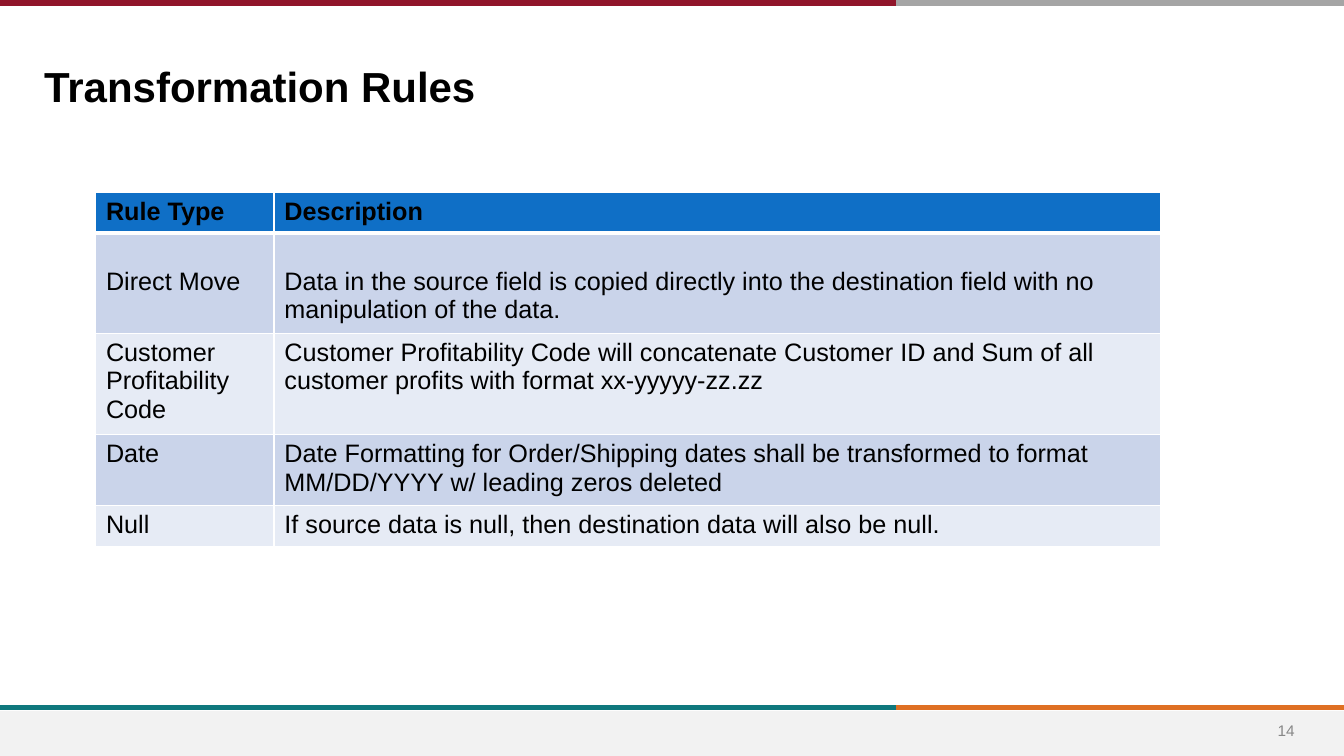
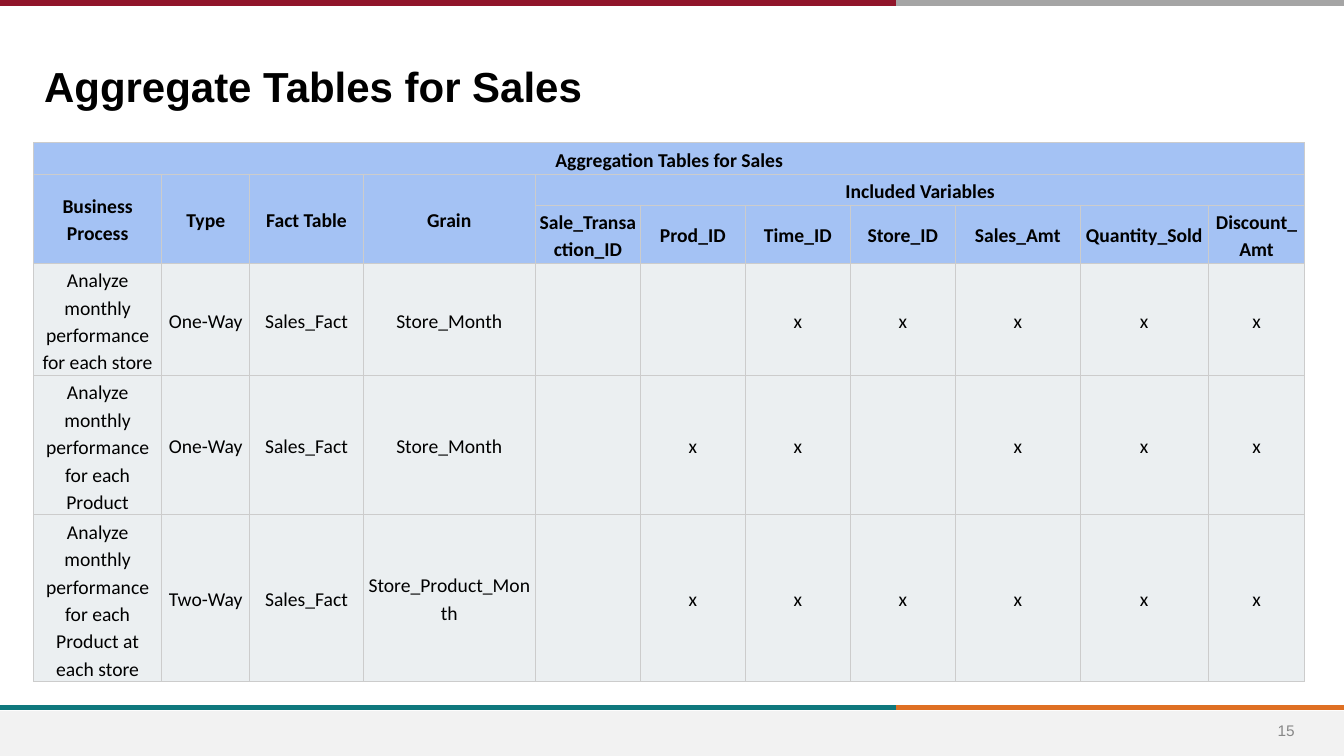
from dataclasses import dataclass
from typing import NamedTuple

from lxml import etree
from pptx import Presentation
from pptx.dml.color import RGBColor
from pptx.enum.shapes import MSO_CONNECTOR, MSO_SHAPE
from pptx.enum.text import MSO_ANCHOR, PP_ALIGN
from pptx.oxml.ns import qn
from pptx.slide import Slide
from pptx.table import Table, _Cell
from pptx.text.text import TextFrame
from pptx.util import Emu, Pt

STRAIGHT = MSO_CONNECTOR.STRAIGHT
RECTANGLE = MSO_SHAPE.RECTANGLE
TOP, MIDDLE = MSO_ANCHOR.TOP, MSO_ANCHOR.MIDDLE
LEFT, CENTER = PP_ALIGN.LEFT, PP_ALIGN.CENTER

EMU_PER_PX = 9525
SLIDE_WIDTH, SLIDE_HEIGHT = 1280, 720
SPLIT = 853
FIRST_PAGE = 14


@dataclass(frozen=True)
class Theme:
    black: str = "000000"
    page_grey: str = "888888"
    band: str = "F2F2F2"
    crimson: str = "90152A"
    silver: str = "A5A5A5"
    teal: str = "0F787D"
    orange: str = "DF7023"
    font: str = "Arial"
    title_size: int = 30
    page_size: int = 11
    rule_width: int = 4


class Box(NamedTuple):
    left: int
    top: int
    width: int
    height: int


class Rule(NamedTuple):
    start: int
    end: int
    y: int
    color: str


class Margins(NamedTuple):
    horizontal: int
    top: int
    bottom: int


class TextStyle(NamedTuple):
    size: int
    color: str
    font: str = "Arial"
    bold: bool = False
    align: PP_ALIGN = LEFT
    anchor: MSO_ANCHOR = TOP
    spacing: float = 1.0


class Span(NamedTuple):
    row: int
    column: int
    last_row: int
    last_column: int


@dataclass(frozen=True)
class TableStyle:
    head: TextStyle
    body: TextStyle
    margins: Margins
    head_fill: str
    body_fills: tuple[str, ...]
    border_color: str
    border_width: float
    head_rows: int = 1
    head_bottom_width: float = 0


@dataclass(frozen=True)
class TableSpec:
    left: int
    top: int
    columns: tuple[int, ...]
    heights: tuple[int, ...]
    rows: tuple[tuple[str, ...], ...]
    style: TableStyle
    spans: tuple[Span, ...] = ()
    lowered_row: int = -1


THEME = Theme()
BAND = Box(0, 677, SLIDE_WIDTH, 43)
TITLE_BOX = Box(32, 44, 1022, 57)
PAGE_BOX = Box(1192, 677, 66, 38)
TITLE_MARGINS = Margins(10, 14, 10)
PAGE_MARGINS = Margins(10, 5, 5)
LOWERED_TOP = 33
TITLE_TEXT = TextStyle(THEME.title_size, THEME.black, bold=True)
PAGE_TEXT = TextStyle(THEME.page_size, THEME.page_grey, align=CENTER, anchor=MIDDLE)
RULES = (
    Rule(SPLIT, SLIDE_WIDTH, 674, THEME.orange),
    Rule(0, SPLIT, 674, THEME.teal),
    Rule(SPLIT, SLIDE_WIDTH, 3, THEME.silver),
    Rule(0, SPLIT, 3, THEME.crimson),
)

RULES_STYLE = TableStyle(
    head=TextStyle(18, THEME.black, bold=True),
    body=TextStyle(18, THEME.black),
    margins=Margins(10, 5, 5),
    head_fill="0F6FC6",
    body_fills=("CAD4EA", "E6EBF5"),
    border_color="FFFFFF",
    border_width=1,
    head_bottom_width=3,
)
SALES_STYLE = TableStyle(
    head=TextStyle(14, THEME.black, "Calibri", True, CENTER, MIDDLE, 1.15),
    body=TextStyle(14, THEME.black, "Calibri", False, CENTER, MIDDLE, 1.15),
    margins=Margins(3, 2, 2),
    head_fill="A4C2F4",
    body_fills=("EBEFF1",),
    border_color="CCCCCC",
    border_width=0.75,
    head_rows=3,
)

TRANSFORMATION_RULES = TableSpec(
    left=91,
    top=183,
    columns=(170, 844),
    heights=(39,) * 5,
    rows=(
        ("Rule Type", "Description"),
        ("Direct Move", "Data in the source field is copied directly into the "
         "destination field with no manipulation of the data."),
        ("Customer Profitability Code", "Customer Profitability Code will concatenate "
         "Customer ID and Sum of all customer profits with format xx-yyyyy-zz.zz"),
        ("Date", "Date Formatting for Order/Shipping dates shall be transformed to "
         "format MM/DD/YYYY w/ leading zeros deleted"),
        ("Null", "If source data is null, then destination data will also be null."),
    ),
    style=RULES_STYLE,
    lowered_row=1,
)
SALES_AGGREGATES = TableSpec(
    left=32,
    top=136,
    columns=(122, 84, 108, 164, 100, 100, 100, 100, 119, 122, 92),
    heights=(28, 28, 51, 97, 120, 143),
    rows=(
        ("Aggregation Tables for Sales",),
        ("Business Process", "Type", "Fact Table", "Grain", "Included Variables"),
        ("", "", "", "", "Sale_Transaction_ID", "Prod_ID", "Time_ID", "Store_ID",
         "Sales_Amt", "Quantity_Sold", "Discount_Amt"),
        ("Analyze monthly performance for each store", "One-Way", "Sales_Fact",
         "Store_Month", "", "", "x", "x", "x", "x", "x"),
        ("Analyze monthly performance for each Product", "One-Way", "Sales_Fact",
         "Store_Month", "", "x", "x", "", "x", "x", "x"),
        ("Analyze monthly performance for each Product at each store", "Two-Way",
         "Sales_Fact", "Store_Product_Month", "", "x", "x", "x", "x", "x", "x"),
    ),
    style=SALES_STYLE,
    spans=(
        Span(0, 0, 0, 10),
        *(Span(1, column, 2, column) for column in range(4)),
        Span(1, 4, 1, 10),
    ),
)
PAGES = (
    ("Transformation Rules", TRANSFORMATION_RULES),
    ("Aggregate Tables for Sales", SALES_AGGREGATES),
)


def px(length: int) -> Emu:
    return Emu(length * EMU_PER_PX)


def place(box: Box) -> tuple[Emu, ...]:
    return tuple(px(length) for length in box)


def set_margins(target: TextFrame | _Cell, margins: Margins) -> None:
    target.margin_left = target.margin_right = px(margins.horizontal)
    target.margin_top = px(margins.top)
    target.margin_bottom = px(margins.bottom)


def write_text(text_frame: TextFrame, text: str, style: TextStyle) -> None:
    text_frame.text = text
    for paragraph in text_frame.paragraphs:
        paragraph.alignment = style.align
        paragraph.line_spacing = style.spacing
        paragraph.font.size = Pt(style.size)
        for run in paragraph.runs:
            run.font.name = style.font
            run.font.size = Pt(style.size)
            run.font.bold = style.bold
            run.font.color.rgb = RGBColor.from_string(style.color)


def add_text(slide: Slide, box: Box, text: str, style: TextStyle, margins: Margins) -> None:
    text_frame = slide.shapes.add_textbox(*place(box)).text_frame
    text_frame.word_wrap = True
    text_frame.vertical_anchor = style.anchor
    set_margins(text_frame, margins)
    write_text(text_frame, text, style)


def add_rule(slide: Slide, rule: Rule) -> None:
    connector = slide.shapes.add_connector(
        STRAIGHT, px(rule.start), px(rule.y), px(rule.end), px(rule.y)
    )
    connector.line.color.rgb = RGBColor.from_string(rule.color)
    connector.line.width = Pt(THEME.rule_width)
    etree.SubElement(connector.element.spPr, qn("a:effectLst"))


def add_frame(slide: Slide, title: str, page: int) -> None:
    band = slide.shapes.add_shape(RECTANGLE, *place(BAND))
    band.shadow.inherit = False
    band.fill.solid()
    band.fill.fore_color.rgb = RGBColor.from_string(THEME.band)
    band.line.fill.background()
    for rule in RULES:
        add_rule(slide, rule)
    add_text(slide, PAGE_BOX, str(page), PAGE_TEXT, PAGE_MARGINS)
    add_text(slide, TITLE_BOX, title, TITLE_TEXT, TITLE_MARGINS)


def set_borders(cell: _Cell, color: str, widths: dict[str, float]) -> None:
    properties = cell._tc.get_or_add_tcPr()
    for position, (side, width) in enumerate(widths.items()):
        line = etree.Element(qn(f"a:ln{side}"), w=str(int(Pt(width))))
        fill = etree.SubElement(line, qn("a:solidFill"))
        etree.SubElement(fill, qn("a:srgbClr"), val=color)
        properties.insert(position, line)


def format_cell(cell: _Cell, text: str, row: int, spec: TableSpec) -> None:
    style = spec.style
    is_head = row < style.head_rows
    text_style = style.head if is_head else style.body
    fill = style.head_fill if is_head else style.body_fills[
        (row - style.head_rows) % len(style.body_fills)
    ]
    cell.fill.solid()
    cell.fill.fore_color.rgb = RGBColor.from_string(fill)
    cell.vertical_anchor = text_style.anchor
    set_margins(cell, style.margins)
    if row == spec.lowered_row:
        cell.margin_top = px(LOWERED_TOP)
    write_text(cell.text_frame, text, text_style)
    widths = dict.fromkeys("LRTB", style.border_width)
    if style.head_bottom_width and row == style.head_rows - 1:
        widths["B"] = style.head_bottom_width
    if style.head_bottom_width and row == style.head_rows:
        widths["T"] = style.head_bottom_width
    set_borders(cell, style.border_color, widths)


def add_data_table(slide: Slide, spec: TableSpec) -> Table:
    box = Box(spec.left, spec.top, sum(spec.columns), sum(spec.heights))
    table = slide.shapes.add_table(
        len(spec.heights), len(spec.columns), *place(box)
    ).table
    table.first_row = table.horz_banding = False
    for column, width in zip(table.columns, spec.columns):
        column.width = px(width)
    for row, height in zip(table.rows, spec.heights):
        row.height = px(height)
    for row, texts in enumerate(spec.rows):
        for column in range(len(spec.columns)):
            text = texts[column] if column < len(texts) else ""
            format_cell(table.cell(row, column), text, row, spec)
    for span in spec.spans:
        table.cell(span.row, span.column).merge(
            table.cell(span.last_row, span.last_column)
        )
    return table


def main() -> None:
    presentation = Presentation()
    presentation.slide_width = px(SLIDE_WIDTH)
    presentation.slide_height = px(SLIDE_HEIGHT)
    blank_layout = presentation.slide_layouts[6]
    for page, (title, spec) in enumerate(PAGES, start=FIRST_PAGE):
        slide = presentation.slides.add_slide(blank_layout)
        add_frame(slide, title, page)
        add_data_table(slide, spec)
    presentation.save("out.pptx")


if __name__ == "__main__":
    main()
